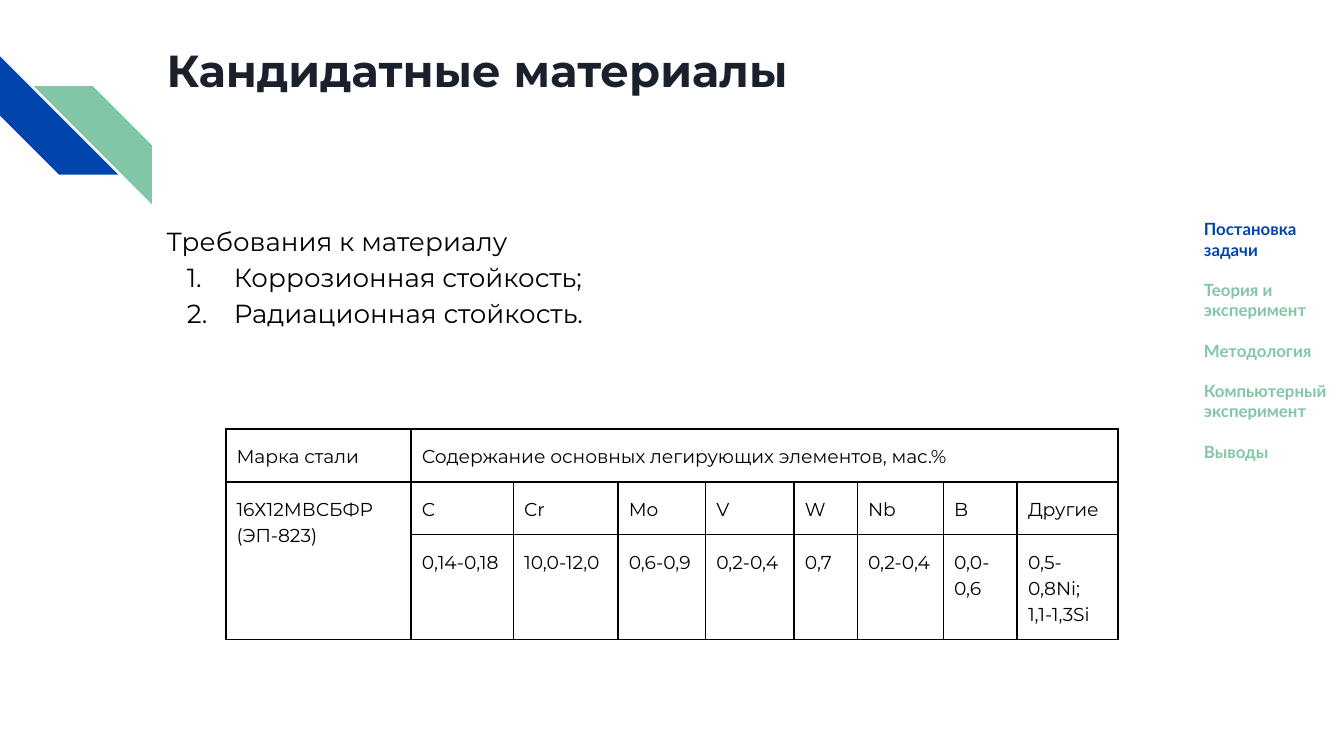
from pptx import Presentation
from pptx.dml.color import RGBColor
from pptx.enum.shapes import MSO_SHAPE
from pptx.enum.text import MSO_ANCHOR, MSO_AUTO_SIZE, PP_ALIGN
from pptx.oxml import parse_xml
from pptx.oxml.ns import nsdecls
from pptx.util import Inches, Pt

COLORS = {"blue": "0145AC", "green": "82C7A5", "dark": "1B212C", "black": "000000"}

TITLE = "Кандидатные материалы"
INTRO = "Требования к материалу"
NEEDS = ["Коррозионная стойкость;", "Радиационная стойкость."]
STEPS = ["Постановка задачи", "Теория и эксперимент", "Методология",
         "Компьютерный эксперимент", "Выводы"]
STEEL = [
    ["Марка стали", "Содержание основных легирующих элементов, мас.%"],
    ["16Х12МВСБФР\n(ЭП-823)", "C", "Cr", "Mo", "V", "W", "Nb", "B", "Другие"],
    ["", "0,14-0,18", "10,0-12,0", "0,6-0,9", "0,2-0,4", "0,7", "0,2-0,4",
     "0,0-0,6", "0,5-0,8Ni; 1,1-1,3Si"],
]
COLS = [1.38, 0.76, 0.78, 0.65, 0.66, 0.47, 0.64, 0.55, 0.75]
ROWS = [0.39, 0.39, 0.78]
STRIPES = [(0, 0.42, 270, "blue"), (0.25, 0.64, 90, "green")]  # left, top, turn, color


def rgb(name):
    return RGBColor.from_string(COLORS[name])


def style(para, size, color, font="Montserrat", bold=False, space=None):
    para.alignment = PP_ALIGN.LEFT
    para.space_before = Pt(0)
    if space:
        para.line_spacing = space
    for run in para.runs:
        run.font.name, run.font.size, run.font.bold = font, Pt(size), bold
        run.font.color.rgb = rgb(color)


def place(shape, left, top, width, height):
    """Move a text shape and give its frame even margins."""
    shape.left, shape.top = Inches(left), Inches(top)
    shape.width, shape.height = Inches(width), Inches(height)
    frame = shape.text_frame
    frame.word_wrap = True
    frame.auto_size = MSO_AUTO_SIZE.NONE
    frame.vertical_anchor = MSO_ANCHOR.TOP
    frame.margin_left = frame.margin_right = Inches(0.1)
    frame.margin_top = frame.margin_bottom = Inches(0.1)
    return frame


def bullet(para, number):
    props = para._p.get_or_add_pPr()
    props.set("marL", str(Inches(0.5 if number else 0)))
    props.set("indent", str(Inches(-0.35 if number else 0)))
    tag = 'buAutoNum type="arabicPeriod"' if number else "buNone"
    props.append(parse_xml(f"<a:{tag} {nsdecls('a')}/>"))


def border(cell):
    props = cell._tc.get_or_add_tcPr()
    for i, side in enumerate("LRTB"):
        props.insert(i, parse_xml(
            f'<a:ln{side} {nsdecls("a")} w="{Pt(1)}"><a:solidFill>'
            f'<a:srgbClr val="{COLORS["black"]}"/></a:solidFill></a:ln{side}>'))


def add_stripes(slide):
    for left, top, turn, color in STRIPES:
        stripe = slide.shapes.add_shape(
            MSO_SHAPE.DIAGONAL_STRIPE, Inches(left), Inches(top), Inches(0.88), Inches(0.88))
        stripe.rotation = turn
        stripe.shadow.inherit = False
        stripe.fill.solid()
        stripe.fill.fore_color.rgb = rgb(color)
        stripe.line.fill.background()


def add_text(slide):
    frame = place(slide.shapes.title, 1.14, 0.22, 4.86, 0.67)
    frame.text = TITLE
    style(frame.paragraphs[0], 24, "dark", bold=True)

    frame = place(slide.placeholders[1], 1.14, 1.54, 7.73, 4.09)
    frame.text = "\n".join([INTRO] + NEEDS)
    for i, para in enumerate(frame.paragraphs):
        bullet(para, number=i > 0)
        style(para, 14, "black", space=1.15)


def add_table(slide):
    table = slide.shapes.add_table(
        len(ROWS), len(COLS), Inches(1.68), Inches(3.19),
        Inches(sum(COLS)), Inches(sum(ROWS))).table
    table.first_row = table.horz_banding = False
    for col, width in zip(table.columns, COLS):
        col.width = Inches(width)
    for row, height in zip(table.rows, ROWS):
        row.height = Inches(height)
    table.cell(0, 1).merge(table.cell(0, len(COLS) - 1))
    table.cell(1, 0).merge(table.cell(2, 0))
    for r, texts in enumerate(STEEL):
        for c, text in enumerate(texts):
            if text:
                table.cell(r, c).text = text
    for cell in table.iter_cells():
        cell.margin_left = cell.margin_right = Inches(0.08)
        cell.margin_top = cell.margin_bottom = Inches(0.1)
        cell.fill.background()
        border(cell)
        for para in cell.text_frame.paragraphs:
            style(para, 10, "black", space=1.15)


def add_steps(slide):
    box = slide.shapes.add_textbox(0, 0, 0, 0)
    frame = place(box, 8.86, 1.53, 1.14, 4.09)
    frame.text = "\n".join(STEPS)
    for i, para in enumerate(frame.paragraphs):
        style(para, 9, "green" if i else "blue", "Lato", True)
        if i:
            para.space_before = Pt(10.8)


def main():
    deck = Presentation()
    deck.slide_width = Inches(10)
    deck.slide_height = deck.slide_width * 9 // 16
    slide = deck.slides.add_slide(deck.slide_layouts[1])
    add_stripes(slide)
    add_text(slide)
    add_table(slide)
    add_steps(slide)
    deck.save("out.pptx")


if __name__ == "__main__":
    main()
